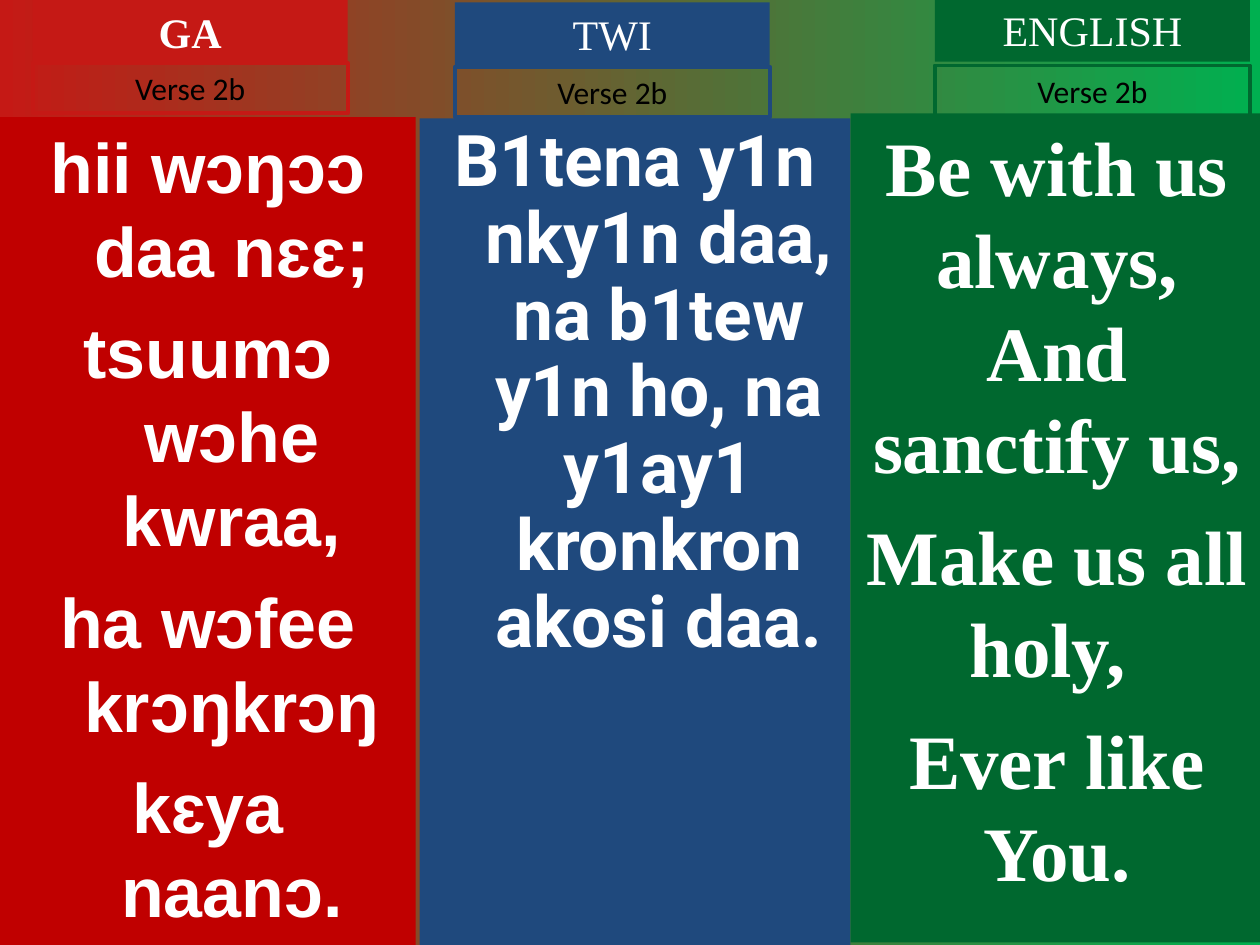
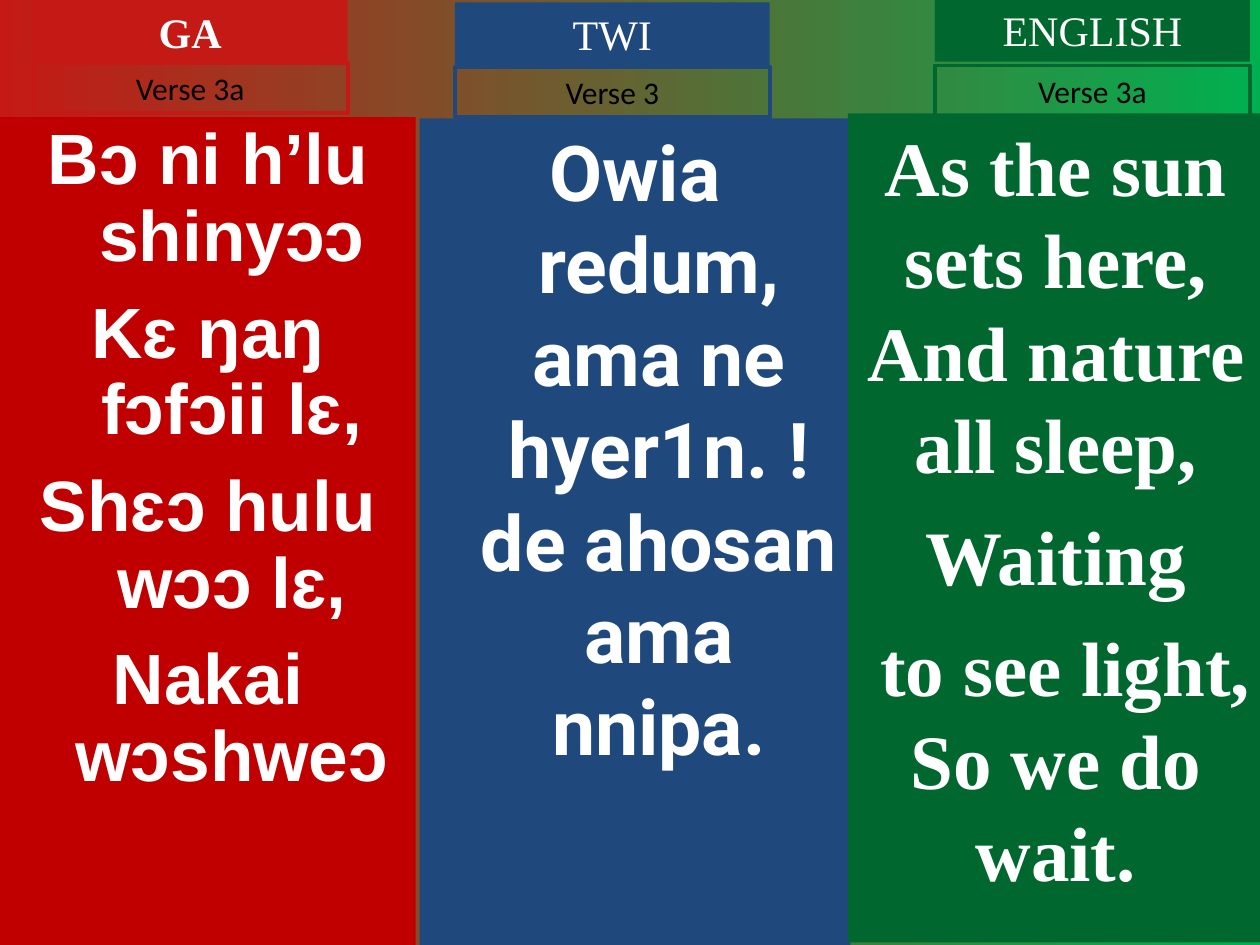
from pptx import Presentation
from pptx.dml.color import RGBColor
from pptx.enum.shapes import MSO_SHAPE
from pptx.enum.text import MSO_ANCHOR, MSO_AUTO_SIZE, PP_ALIGN
from pptx.util import Inches, Pt

RECT = MSO_SHAPE.RECTANGLE
CENTER = PP_ALIGN.CENTER
TOP = MSO_ANCHOR.TOP
GROW, FIXED = MSO_AUTO_SIZE.SHAPE_TO_FIT_TEXT, MSO_AUTO_SIZE.NONE

COLORS = {
    "red": "C00000", "flame": "C51915", "blue": "1F497D",
    "green": "00682F", "lime": "00B050", "white": "FFFFFF", "black": "000000",
}

# Content: one dict per slide, one verse per language
SLIDES = [
    {
        "GA": dict(label="Verse 2b", size=40, gap=10, lines=[
            "hii wɔŋɔɔ daa nɛɛ;", "tsuumɔ wɔhe kwraa,",
            "ha wɔfee krɔŋkrɔŋ", "kɛya naanɔ."]),
        "TWI": dict(label="Verse 2b", size=40.7, pitch=0.9, lines=[
            "B1tena y1n nky1n daa, na b1tew y1n ho, na y1ay1 kronkron akosi daa."]),
        "ENGLISH": dict(label="Verse 2b", size=44, left=6.75, lines=[
            "Be with us always, And sanctify us,", "Make us all holy, ",
            "Ever like You."]),
    },
    {
        "GA": dict(label="Verse 3a", size=40.7, pitch=0.9, lines=[
            "Bɔ ni h’lu shinyɔɔ", "Kɛ ŋaŋ fɔfɔii lɛ,",
            "Shɛɔ hulu wɔɔ lɛ,", "Nakai wɔshweɔ"]),
        "TWI": dict(label="Verse 3", size=44, lines=[
            "Owia redum, ama ne hyer1n. !de ahosan ama nnipa."]),
        "ENGLISH": dict(label="Verse 3a", size=44, left=6.73, lines=[
            "As the sun sets here, And nature all sleep,", "Waiting",
            " to see light, So we do wait."]),
    },
]

# Shared look of each language: column edges, then its heading and label
LOOKS = {
    "GA": dict(fill="red", tone="flame", font="Arial", hang=0.38, bold=True,
               left=0, right=3.3, top=0.93, foot=7.5, tab=(0.26, 0), drop=0.5),
    "TWI": dict(fill="blue", tone="blue", font="Roboto", hang=0.38, bold=False,
                left=3.33, right=6.75, top=0.94, foot=7.5, tab=(3.61, 0.02), drop=0.51),
    "ENGLISH": dict(fill="green", tone="green", font="Times New Roman", hang=0,
                    bold=False, right=10.03, top=0.9, foot=7.48,
                    tab=(7.42, -0.01), drop=0.53),
}
TAB_W, HEAD_H, LABEL_H = 2.5, 0.5, 0.4


def rgb(name):
    return RGBColor.from_string(COLORS[name])


def add_box(slide, x, y, w, h, fill=None, line=None, fit=FIXED):
    box = slide.shapes.add_shape(RECT, *(Inches(v) for v in (x, y, w, h)))
    box.shadow.inherit = False
    if fill:
        box.fill.solid()
        box.fill.fore_color.rgb = rgb(fill)
    else:
        box.fill.background()
    if line:
        box.line.color.rgb = rgb(line)
        box.line.width = Pt(2.25)
    else:
        box.line.fill.background()
    frame = box.text_frame
    frame.word_wrap = True
    frame.auto_size = fit
    frame.vertical_anchor = TOP
    return frame


def add_text(frame, lines, font, size, color, bold=False, gap=0, pitch=None, hang=0):
    for i, line in enumerate(lines):
        para = frame.add_paragraph() if i else frame.paragraphs[0]
        para.alignment = CENTER
        if i:
            para.space_before = Pt(gap)
        if pitch:
            para.line_spacing = pitch
        if hang:
            props = para._p.get_or_add_pPr()
            props.set("marL", str(Inches(hang)))
            props.set("indent", str(-Inches(hang)))
        run = para.add_run()
        run.text = line
        run.font.name = font
        run.font.size = Pt(size)
        run.font.bold = bold
        run.font.color.rgb = rgb(color)


def add_back(slide):
    fill = slide.background.fill
    fill.gradient()
    fill.gradient_angle = 0
    for stop, name, place in zip(fill.gradient_stops, ("flame", "lime"), (0, 1)):
        stop.color.rgb = rgb(name)
        stop.position = place


def add_verse(slide, title, verse):
    look = LOOKS[title]
    # Lyric column
    left = verse.get("left", look.get("left"))
    frame = add_box(slide, left, look["top"], look["right"] - left,
                    look["foot"] - look["top"], fill=look["fill"])
    add_text(frame, verse["lines"], look["font"], verse["size"], "white", True,
             verse.get("gap", 11), verse.get("pitch"), look["hang"])
    # Language heading
    x, y = look["tab"]
    frame = add_box(slide, x, y, TAB_W, HEAD_H, fill=look["tone"], fit=GROW)
    add_text(frame, [title], "Times New Roman", 24, "white", look["bold"])
    # Verse label
    frame = add_box(slide, x, y + look["drop"], TAB_W, LABEL_H,
                    line=look["tone"], fit=GROW)
    add_text(frame, [verse["label"]], "Calibri", 18, "black")


def main():
    deck = Presentation()
    deck.slide_width, deck.slide_height = Inches(10), Inches(7.5)
    for verses in SLIDES:
        slide = deck.slides.add_slide(deck.slide_layouts[6])
        add_back(slide)
        for title, verse in verses.items():
            add_verse(slide, title, verse)
    deck.save("out.pptx")


if __name__ == "__main__":
    main()
